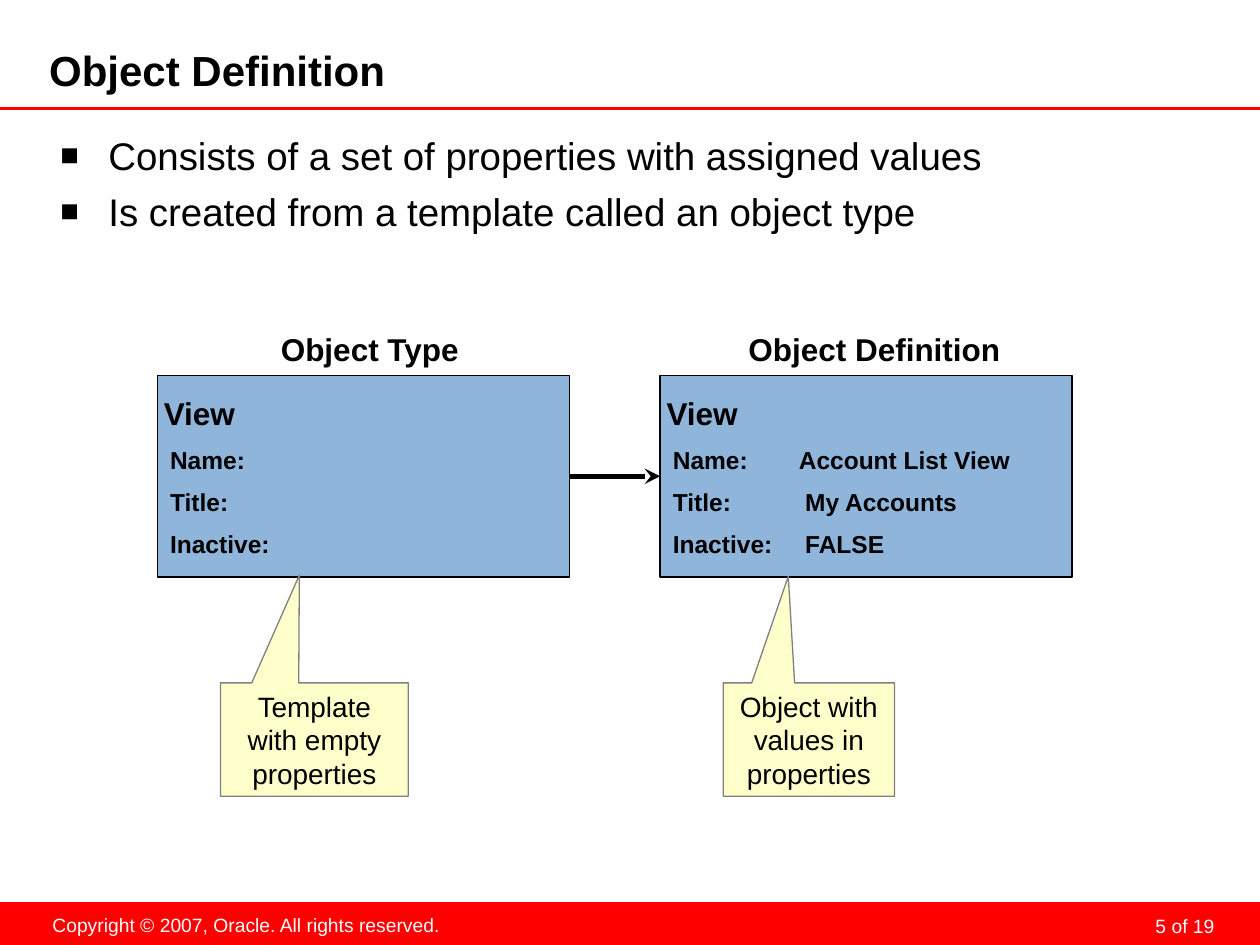
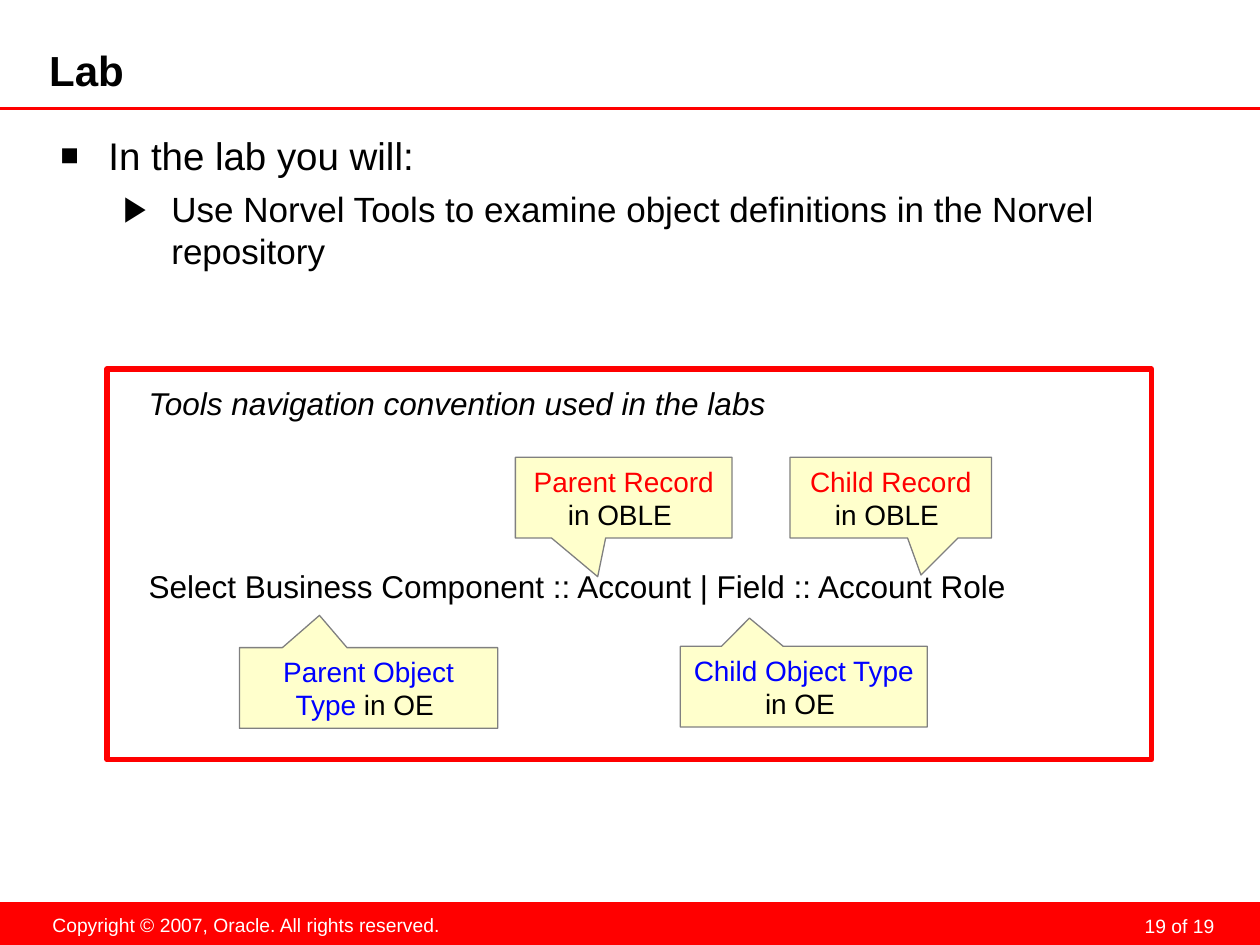
"""Build two training slides on object definitions and the lab convention."""
from lxml.etree import SubElement
from pptx import Presentation
from pptx.dml.color import RGBColor
from pptx.enum.shapes import MSO_CONNECTOR, MSO_SHAPE
from pptx.enum.text import MSO_ANCHOR, MSO_AUTO_SIZE, PP_ALIGN
from pptx.oxml.ns import qn
from pptx.util import Inches, Pt

FONT = "Arial"
BLACK = RGBColor(0, 0, 0)
WHITE = RGBColor(255, 255, 255)
RED = RGBColor(255, 0, 0)
BLUE = RGBColor(0, 0, 255)
GRAY = RGBColor(0x80, 0x80, 0x80)
PANEL = RGBColor(0x90, 0xB5, 0xDA)
NOTE = RGBColor(0xFF, 0xFF, 0xCC)


def write(tf, paragraphs, size=18, color=BLACK, bold=False, italic=False,
          align=PP_ALIGN.LEFT, anchor=MSO_ANCHOR.TOP, wrap=True,
          insets=(0.1, 0.05, 0.1, 0.05), before=0, spacing=None):
    """Fill a text frame; each paragraph is a string or a list of (text, color) runs."""
    tf.auto_size = MSO_AUTO_SIZE.NONE
    tf.word_wrap = wrap
    tf.vertical_anchor = anchor
    tf.margin_left, tf.margin_top, tf.margin_right, tf.margin_bottom = map(Inches, insets)
    for i, runs in enumerate(paragraphs):
        p = tf.add_paragraph() if i else tf.paragraphs[0]
        p.alignment = align
        p.space_before = Pt(before if i else 0)
        if spacing:
            p.line_spacing = Pt(spacing)
        for text, run_color in [(runs, color)] if isinstance(runs, str) else runs:
            r = p.add_run()
            r.text = text
            r.font.name, r.font.size = FONT, Pt(size)
            r.font.bold, r.font.italic = bold, italic
            r.font.color.rgb = run_color


def add_box(s, kind, at, fill=None, line=None, weight=1):
    """Add a flat preset shape with an optional fill and outline."""
    sp = s.shapes.add_shape(kind, *map(Inches, at))
    sp.shadow.inherit = False
    if fill is None:
        sp.fill.background()
    else:
        sp.fill.solid()
        sp.fill.fore_color.rgb = fill
    if line is None:
        sp.line.fill.background()
    else:
        sp.line.color.rgb = line
        sp.line.width = Pt(weight)
    return sp


prs = Presentation()
prs.slide_width, prs.slide_height = Inches(10), Inches(7.5)

pages = [
    ("Object Definition", "5 of 19", [
        (0, "Consists of a set of properties with assigned values"),
        (0, "Is created from a template called an object type")]),
    ("Lab", "19 of 19", [
        (0, "In the lab you will:"),
        (1, "Use Norvel Tools to examine object definitions in the Norvel repository")]),
]
bullets = [("■", 80, 0.38, 22, 5.5), ("▶", 100, 0.88, 20, 5)]

slides = []
connectors = []
for title, page, items in pages:
    s = prs.slides.add_slide(prs.slide_layouts[1])
    slides.append(s)

    head, body = s.placeholders
    head.left, head.top, head.width, head.height = map(Inches, (0.39, 0.38, 7.87, 0.4))
    write(head.text_frame, [title], size=24, bold=True, anchor=MSO_ANCHOR.MIDDLE,
          insets=(0, 0, 0.05, 0.05))

    body.left, body.top, body.width, body.height = map(Inches, (0.38, 0.95, 9.3, 6.16))
    write(body.text_frame, [text for _, text in items], insets=(0.1, 0.1, 0.1, 0.05))
    for i, (p, (level, _)) in enumerate(zip(body.text_frame.paragraphs, items)):
        char, percent, indent, size, before = bullets[level]
        p.level = level
        pPr = p._p.get_or_add_pPr()
        pPr.set("marL", str(Inches(indent)))
        pPr.set("indent", str(Inches(-0.38)))
        SubElement(SubElement(pPr, qn("a:buClr")), qn("a:srgbClr"), val=str(BLACK))
        SubElement(pPr, qn("a:buSzPct"), val=str(percent * 1000))
        SubElement(pPr, qn("a:buFont"), typeface=FONT)
        SubElement(pPr, qn("a:buChar"), char=char)
        p.space_before = Pt(before if i else 0)
        p.runs[0].font.size = Pt(size)

    add_box(s, MSO_SHAPE.RECTANGLE, (0, 7.16, 10, 0.34), fill=RED)
    number = s.shapes.add_textbox(Inches(7.36), Inches(7.19), Inches(2.33), Inches(0.25))
    write(number.text_frame, [page], size=11, color=WHITE, align=PP_ALIGN.RIGHT,
          insets=(0.05, 0, 0.05, 0), spacing=18)
    notice = s.shapes.add_textbox(Inches(0.31), Inches(7.2), Inches(3.29), Inches(0.29))
    write(notice.text_frame, ["Copyright © 2007, Oracle. All rights reserved."],
          size=11, color=WHITE, align=PP_ALIGN.CENTER, wrap=False)
    rule = s.shapes.add_connector(MSO_CONNECTOR.STRAIGHT, 0, Inches(0.86),
                                  Inches(10), Inches(0.86))
    rule.line.color.rgb, rule.line.width = RED, Pt(1.75)
    connectors.append(rule)

definition, lab = slides

panels = []
for left, label, label_left, label_width, values in [
    (1.25, "Object Type", 2.12, 1.63, ("", "", "")),
    (5.24, "Object Definition", 5.84, 2.2, ("Account List View", "My Accounts", "FALSE")),
]:
    sp = add_box(definition, MSO_SHAPE.RECTANGLE, (left, 2.98, 3.27, 1.6), PANEL, BLACK)
    rows = [f"{name}\t{value}" if value else name
            for name, value in zip(("Name:", "Title:", "Inactive:"), values)]
    write(sp.text_frame, ["View"] + rows, bold=True, anchor=MSO_ANCHOR.MIDDLE,
          insets=(0.05, 0.1, 0.05, 0.05), before=6, spacing=18)
    for p, tab in zip(sp.text_frame.paragraphs[1:], (1, 1.05, 1.05)):
        pPr = p._p.get_or_add_pPr()
        pPr.set("marL", str(Inches(0.05)))
        SubElement(SubElement(pPr, qn("a:tabLst")), qn("a:tab"),
                   pos=str(Inches(tab)), algn="l")
        for r in p.runs:
            r.font.size = Pt(14)
    panels.append(sp)
    caption = definition.shapes.add_textbox(Inches(label_left), Inches(2.57),
                                            Inches(label_width), Inches(0.4))
    write(caption.text_frame, [label], bold=True, align=PP_ALIGN.CENTER, wrap=False)

arrow = definition.shapes.add_connector(MSO_CONNECTOR.STRAIGHT, Inches(4.52), Inches(3.78),
                                        Inches(5.24), Inches(3.78))
arrow.begin_connect(panels[0], 3)
arrow.end_connect(panels[1], 1)
arrow.line.color.rgb, arrow.line.width = BLACK, Pt(3)
SubElement(arrow.line._get_or_add_ln(), qn("a:tailEnd"), type="stealth")
connectors.append(arrow)

for c in connectors:
    SubElement(c._element.spPr, qn("a:effectLst"))

convention = lab.shapes.add_textbox(Inches(0.58), Inches(3), Inches(8.2), Inches(1.9))
write(convention.text_frame,
      ["Tools navigation convention used in the labs",
       "Select Business Component :: Account | Field :: Account Role"],
      insets=(0.6, 0.05, 0.1, 0.05), before=83)
convention.text_frame.paragraphs[0].runs[0].font.italic = True

for s, at, tip, runs in [
    (definition, (1.75, 5.42, 1.49, 0.9), (-0.08, -1.45),
     [("Template with empty properties", BLACK)]),
    (definition, (5.74, 5.42, 1.36, 0.9), (-0.12, -1.44),
     [("Object with values in properties", BLACK)]),
    (lab, (1.9, 5.14, 2.05, 0.64), (-0.19, -0.9),
     [("Parent Object Type", BLUE), (" in OE ", BLACK)]),
    (lab, (5.4, 5.13, 1.96, 0.64), (-0.22, -0.85),
     [("Child Object Type", BLUE), (" in OE ", BLACK)]),
    (lab, (4.09, 3.63, 1.72, 0.64), (-0.12, 0.98),
     [("Parent Record", RED), (" in OBLE ", BLACK)]),
    (lab, (6.27, 3.63, 1.6, 0.64), (0.15, 0.96),
     [("Child Record", RED), (" in OBLE ", BLACK)]),
]:
    sp = add_box(s, MSO_SHAPE.RECTANGULAR_CALLOUT, at, NOTE, GRAY, 0.75)
    sp.adjustments[0], sp.adjustments[1] = tip
    write(sp.text_frame, [runs], size=16, align=PP_ALIGN.CENTER, anchor=MSO_ANCHOR.MIDDLE)

add_box(lab, MSO_SHAPE.RECTANGLE, (0.85, 2.93, 8.29, 3.1), line=RED, weight=3)

prs.save("out.pptx")
